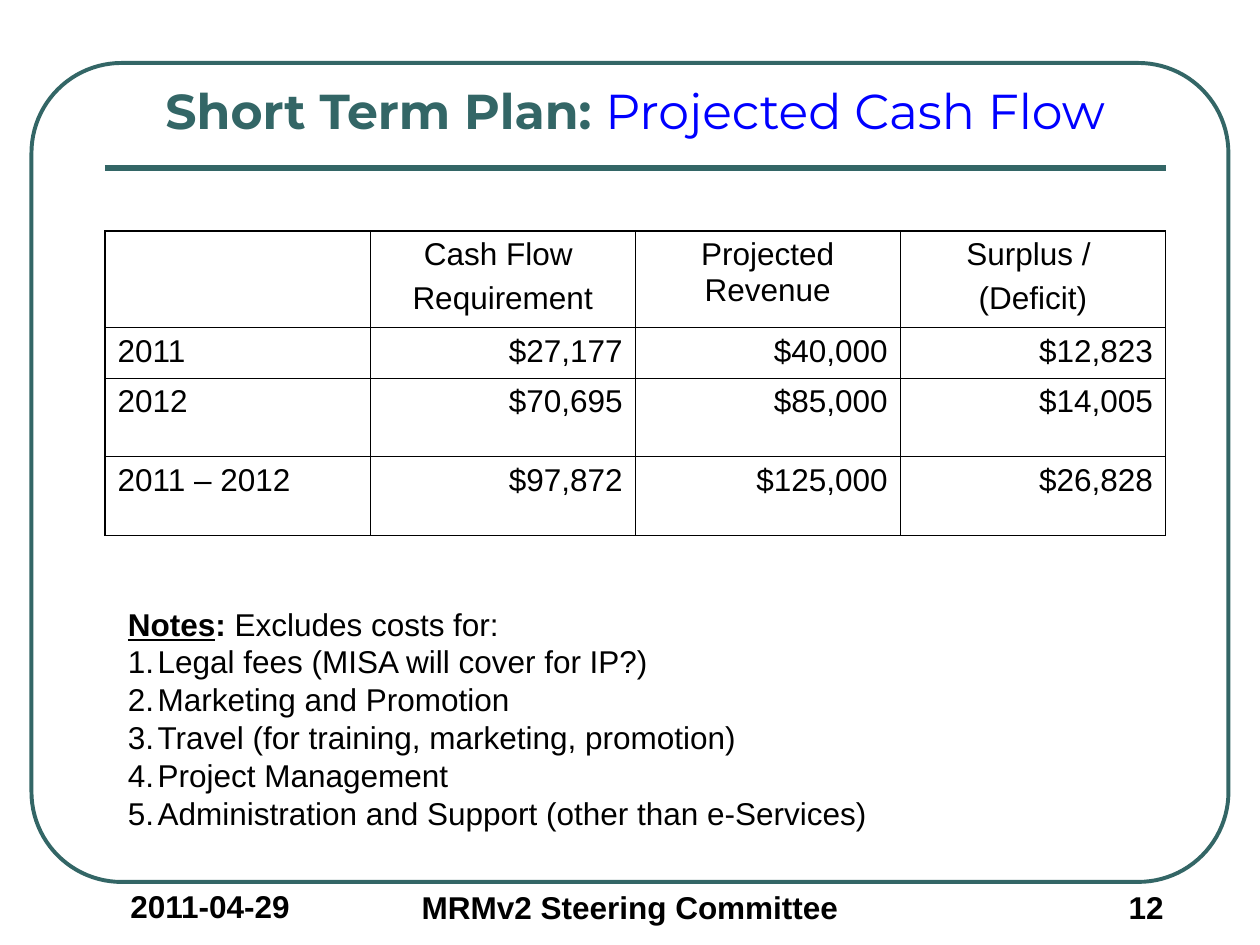
from lxml import etree
from pptx import Presentation
from pptx.dml.color import RGBColor
from pptx.enum.shapes import MSO_CONNECTOR, MSO_SHAPE
from pptx.enum.text import MSO_ANCHOR, MSO_AUTO_SIZE, PP_ALIGN
from pptx.oxml.ns import qn
from pptx.util import Pt

LEFT, CENTER, RIGHT = PP_ALIGN.LEFT, PP_ALIGN.CENTER, PP_ALIGN.RIGHT
MIDDLE = MSO_ANCHOR.MIDDLE
NO_AUTOFIT, GROW = MSO_AUTO_SIZE.NONE, MSO_AUTO_SIZE.SHAPE_TO_FIT_TEXT
ROUNDED, STRAIGHT = MSO_SHAPE.ROUNDED_RECTANGLE, MSO_CONNECTOR.STRAIGHT

TEAL, BLUE, BLACK = "336666", "0000FF", "000000"
BODY_SIZE = 18
OUTER_BORDER, INNER_BORDER = 1.08, 0.45

HEADER = [[], ["Cash Flow ", "Requirement"], ["Projected Revenue"],
          ["Surplus / ", "(Deficit)"]]
YEARS = [
    ("2011", "$27,177", "$40,000", "$12,823"),
    ("2012", "$70,695", "$85,000", "$14,005"),
    ("2011 – 2012", "$97,872", "$125,000", "$26,828"),
]
ROW_HEIGHTS = [55.2, 28.8, 45, 45]
EXCLUSIONS = [
    "Legal fees (MISA will cover for IP?)",
    "Marketing and Promotion",
    "Travel (for training, marketing, promotion)",
    "Project Management",
    "Administration and Support (other than e-Services)",
]


def rgb(value):
    return RGBColor.from_string(value)


def add_run(paragraph, text, size=BODY_SIZE, font="Arial", color=BLACK,
            bold=False, underline=False):
    run = paragraph.add_run()
    run.text = text
    run.font.size = Pt(size)
    run.font.name = font
    run.font.color.rgb = rgb(color)
    run.font.bold = bold
    run.font.underline = underline


def add_text_frame(slide, box):
    frame = slide.shapes.add_textbox(*map(Pt, box)).text_frame
    frame.word_wrap = True
    return frame


def add_frame(slide, box):
    """Draw the rounded outline around the slide content."""
    frame = slide.shapes.add_shape(ROUNDED, *map(Pt, box))
    frame.adjustments[0] = 0.11
    frame.shadow.inherit = False
    frame.fill.background()
    frame.line.color.rgb = rgb(TEAL)
    frame.line.width = Pt(2.25)


def add_heading(slide, box):
    """Place the title and the rule below it."""
    left, top, width, height = box
    title = slide.shapes.title
    title.left, title.top, title.width, title.height = map(Pt, box)
    title.text_frame.auto_size = NO_AUTOFIT
    title.text_frame.vertical_anchor = MIDDLE
    paragraph = title.text_frame.paragraphs[0]
    paragraph.alignment = CENTER
    add_run(paragraph, "Short Term Plan: ", 28, "Montserrat", TEAL, bold=True)
    add_run(paragraph, "Projected Cash Flow", 28, "Montserrat", BLUE)

    rule_y = top + height + 12
    rule = slide.shapes.add_connector(
        STRAIGHT, Pt(left), Pt(rule_y), Pt(left + width), Pt(rule_y))
    rule.line.color.rgb = rgb(TEAL)
    rule.line.width = Pt(3)
    etree.SubElement(rule._element.spPr, qn("a:effectLst"))


def set_borders(cell, widths):
    """Set the left, right, top and bottom borders, in that order."""
    properties = cell._tc.get_or_add_tcPr()
    for position, (side, width) in enumerate(zip("LRTB", widths)):
        border = etree.Element(qn(f"a:ln{side}"), w=str(Pt(width)))
        fill = etree.SubElement(border, qn("a:solidFill"))
        etree.SubElement(fill, qn("a:srgbClr"), val=BLACK)
        properties.insert(position, border)


def add_cash_flow_table(slide, box):
    rows = [HEADER] + [[[value] for value in year] for year in YEARS]
    last_row, last_column = len(rows) - 1, len(HEADER) - 1
    table = slide.shapes.add_table(
        len(rows), len(HEADER), *map(Pt, box)).table
    table.first_row = table.horz_banding = False
    for column in table.columns:
        column.width = Pt(box[2] / len(HEADER))
    for r, (row, height) in enumerate(zip(rows, ROW_HEIGHTS)):
        table.rows[r].height = Pt(height)
        for c, lines in enumerate(row):
            cell = table.cell(r, c)
            cell.fill.background()
            edges = (c == 0, c == last_column, r == 0, r == last_row)
            set_borders(cell, [OUTER_BORDER if edge else INNER_BORDER
                               for edge in edges])
            frame = cell.text_frame
            for i, line in enumerate(lines):
                paragraph = frame.add_paragraph() if i else frame.paragraphs[0]
                if i:
                    paragraph.space_before = Pt(4.5)
                paragraph.alignment = (CENTER if r == 0
                                       else RIGHT if c else LEFT)
                add_run(paragraph, line)


def number_paragraph(paragraph, indent):
    properties = paragraph._p.get_or_add_pPr()
    properties.set("marL", str(Pt(indent)))
    properties.set("indent", str(-Pt(indent)))
    color = etree.SubElement(properties, qn("a:buClr"))
    etree.SubElement(color, qn("a:srgbClr"), val=BLACK)
    etree.SubElement(properties, qn("a:buFont"), typeface="Arial")
    etree.SubElement(properties, qn("a:buAutoNum"), type="arabicPeriod")


def add_notes(slide, box):
    frame = add_text_frame(slide, box)
    frame.auto_size = GROW
    intro = frame.paragraphs[0]
    add_run(intro, "Notes", bold=True, underline=True)
    add_run(intro, ":", bold=True)
    add_run(intro, " Excludes costs for:")
    for exclusion in EXCLUSIONS:
        paragraph = frame.add_paragraph()
        number_paragraph(paragraph, 17)
        add_run(paragraph, exclusion)
    for paragraph in frame.paragraphs:
        paragraph.line_spacing = Pt(21.6)


def add_footer(slide, box):
    """Place the date, committee and page number along the bottom."""
    left, top, width, height = box
    parts = [
        ("2011-04-29", left, top - 0.7, 120, CENTER),
        ("MRMv2 Steering Committee", left + 168, top, 264, CENTER),
        ("12", left + width - 72, top, 72, RIGHT),
    ]
    for text, part_left, part_top, part_width, alignment in parts:
        frame = add_text_frame(slide, (part_left, part_top, part_width, height))
        paragraph = frame.paragraphs[0]
        paragraph.alignment = alignment
        add_run(paragraph, text, bold=True)


def main():
    presentation = Presentation()
    presentation.slide_width, presentation.slide_height = Pt(720), Pt(540)
    slide = presentation.slides.add_slide(presentation.slide_layouts[5])
    add_frame(slide, (18, 36, 684, 468))
    add_heading(slide, (60, 42, 606, 42))
    add_cash_flow_table(slide, (60, 132, 606, sum(ROW_HEIGHTS)))
    add_notes(slide, (66, 342, 577.5, 158.4))
    add_footer(slide, (60, 504, 612, 36))
    presentation.save("out.pptx")


if __name__ == "__main__":
    main()
